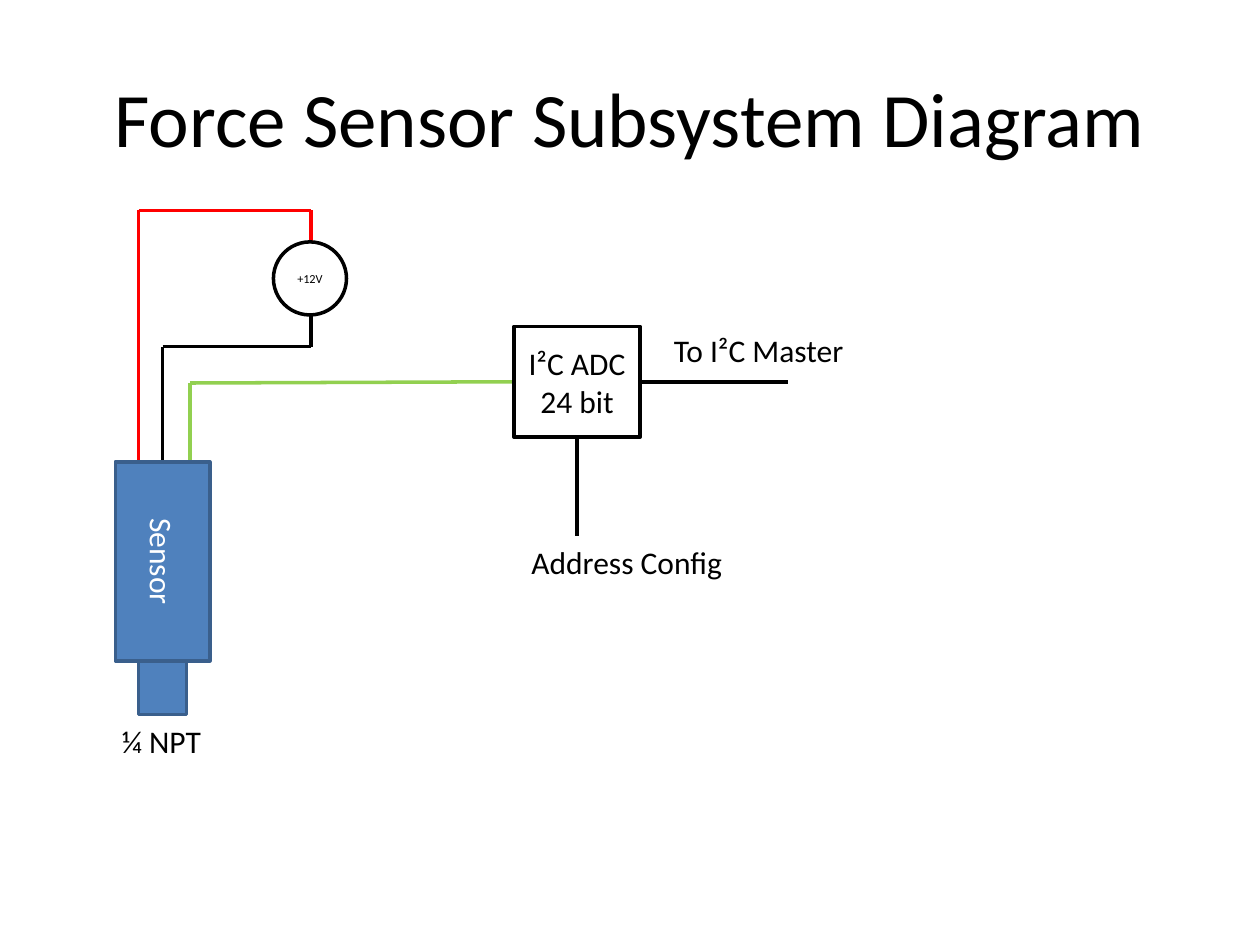
"""Build the force sensor subsystem diagram slide."""
import pptx
import pptx.dml.color
import pptx.enum.shapes
import pptx.enum.text
import pptx.oxml.ns
import pptx.util
from lxml import etree

Inches = pptx.util.Inches
RGBColor = pptx.dml.color.RGBColor
Shape = pptx.enum.shapes.MSO_SHAPE
Align = pptx.enum.text.PP_ALIGN
Anchor = pptx.enum.text.MSO_ANCHOR

BLACK = RGBColor(0x00, 0x00, 0x00)
WHITE = RGBColor(0xFF, 0xFF, 0xFF)
RED = RGBColor(0xFF, 0x00, 0x00)
GREEN = RGBColor(0x92, 0xD0, 0x50)
BLUE = RGBColor(0x4F, 0x81, 0xBD)
DARK_BLUE = RGBColor(0x3A, 0x5F, 0x8C)
LINE_WIDTH = pptx.util.Pt(2)

presentation = pptx.Presentation()
presentation.slide_width = Inches(10)
presentation.slide_height = Inches(7.5)
slide = presentation.slides.add_slide(presentation.slide_layouts[6])


def write_text(shape, text, size, color, align, anchor, wrap=False):
    frame = shape.text_frame
    frame.word_wrap = wrap
    frame.vertical_anchor = anchor
    paragraph = frame.paragraphs[0]
    paragraph.alignment = align
    for index, line in enumerate(text.split("\n")):
        if index:
            paragraph.add_line_break()
        run = paragraph.add_run()
        run.text = line
        run.font.name = "Calibri"
        run.font.size = pptx.util.Pt(size)
        run.font.color.rgb = color


power_x, ground_x, signal_x, supply_x = 1.1, 1.29, 1.51, 2.47
sensor_top, power_y, ground_y, signal_y = 3.67, 1.67, 2.75, 3.03
adc_left, adc_top, adc_width, adc_height = 4.08, 2.59, 1, 0.88
adc_right, adc_bottom = adc_left + adc_width, adc_top + adc_height
adc_center = adc_left + adc_width / 2

wires = [
    (RED, [(power_x, sensor_top), (power_x, power_y), (supply_x, power_y), (supply_x, 1.92)]),
    (BLACK, [(ground_x, sensor_top), (ground_x, ground_y), (supply_x, ground_y), (supply_x, 2.5)]),
    (GREEN, [(signal_x, sensor_top), (signal_x, 3.04), (adc_left, signal_y)]),
    (BLACK, [(adc_center, adc_bottom), (adc_center, 4.25)]),
    (BLACK, [(adc_right, signal_y), (6.25, signal_y)]),
]
for color, points in wires:
    for start, end in zip(points, points[1:]):
        wire = slide.shapes.add_connector(
            pptx.enum.shapes.MSO_CONNECTOR.STRAIGHT, *map(Inches, start + end))
        wire.line.color.rgb = color
        wire.line.width = LINE_WIDTH
        properties = wire.element.find(pptx.oxml.ns.qn("p:spPr"))
        etree.SubElement(properties, pptx.oxml.ns.qn("a:effectLst"))

blocks = [
    (Shape.RECTANGLE, (power_x, 5.17, 0.38, 0.5), 0, BLUE, DARK_BLUE, "", 18, WHITE),
    (Shape.RECTANGLE, (0.5, 4.08, 1.58, 0.75), 90, BLUE, DARK_BLUE, "Sensor", 18, WHITE),
    (Shape.OVAL, (2.17, 1.92, 0.58, 0.58), 0, WHITE, BLACK, "+12V", 7, BLACK),
    (Shape.RECTANGLE, (adc_left, adc_top, adc_width, adc_height), 0, WHITE, BLACK,
     "I²C ADC\n24 bit", 18, BLACK),
]
for kind, box, rotation, fill, outline, text, size, color in blocks:
    block = slide.shapes.add_shape(kind, *map(Inches, box))
    block.shadow.inherit = False
    block.rotation = rotation
    block.fill.solid()
    block.fill.fore_color.rgb = fill
    block.line.color.rgb = outline
    block.line.width = LINE_WIDTH
    if text:
        write_text(block, text, size, color, Align.CENTER, Anchor.MIDDLE)

title = slide.shapes.add_textbox(*map(Inches, (0.5, 0.3, 9, 1.25)))
write_text(title, "Force Sensor Subsystem Diagram", 44, BLACK, Align.CENTER, Anchor.MIDDLE, True)

labels = [
    ("¼ NPT", 0.87, 5.68, 0.84),
    ("Address Config", 4.12, 4.26, 1.73),
    ("To I²C Master", 5.25, 2.58, 1.56),
]
for text, left, top, width in labels:
    label = slide.shapes.add_textbox(*map(Inches, (left, top, width, 0.4)))
    write_text(label, text, 18, BLACK, Align.LEFT, Anchor.TOP)

presentation.save("out.pptx")
